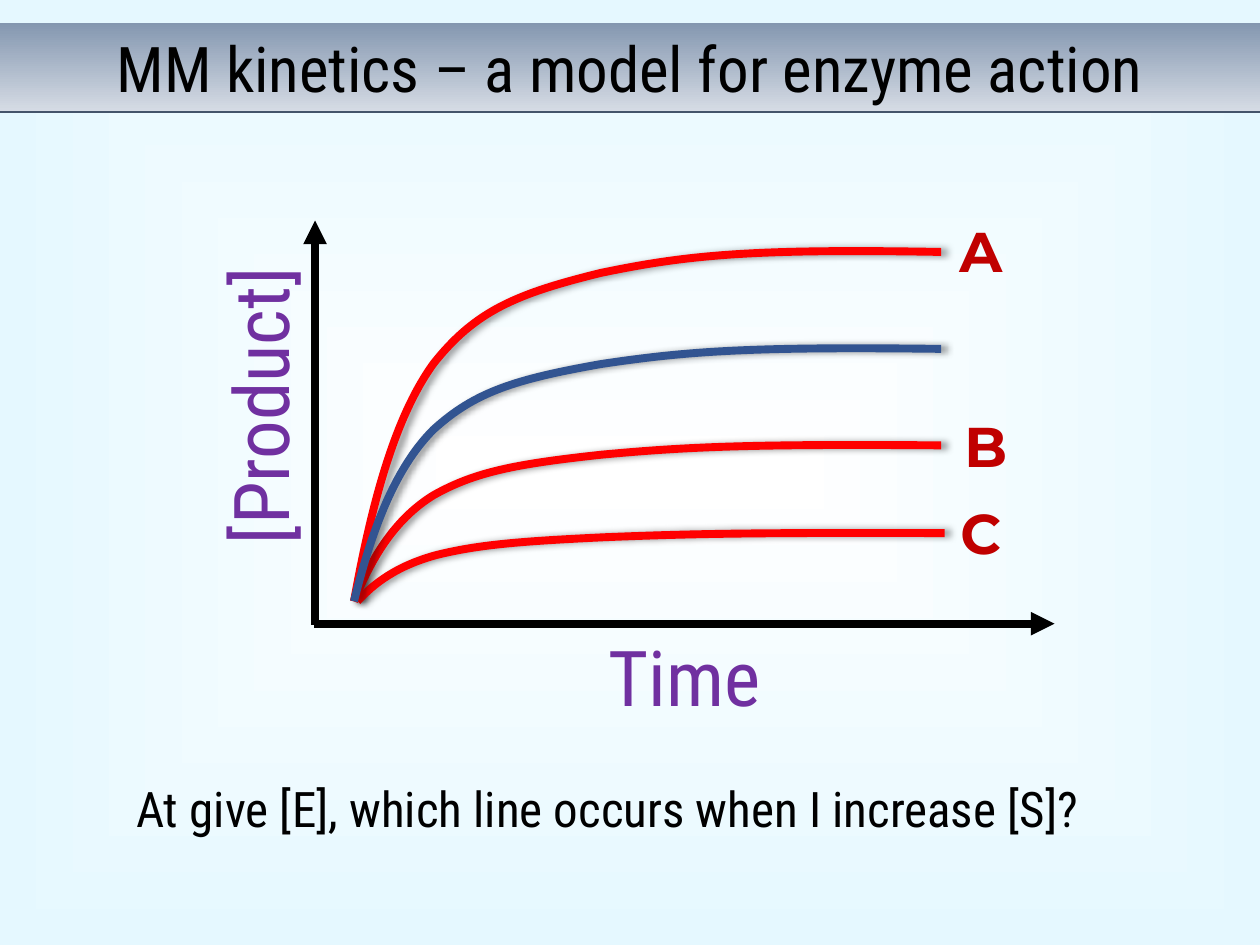
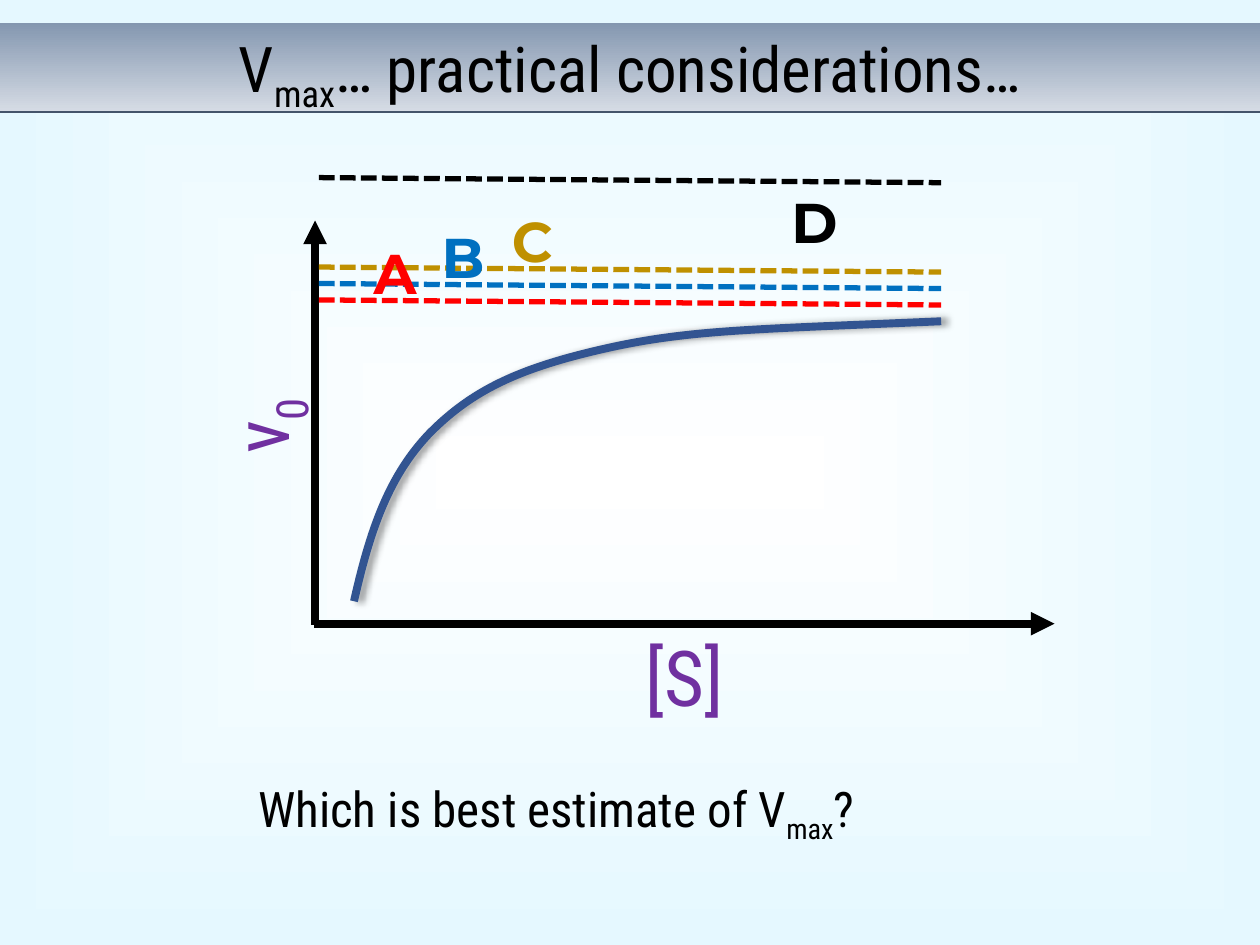
"""Build two slides on enzyme kinetics with curve diagrams."""
import typing

import lxml.etree
import pptx
import pptx.dml.color
import pptx.enum.dml
import pptx.enum.shapes
import pptx.enum.text
import pptx.oxml.ns
import pptx.presentation
import pptx.shapes.autoshape
import pptx.slide
import pptx.text.text
import pptx.util

Pt = pptx.util.Pt
qn = pptx.oxml.ns.qn
ALIGN = pptx.enum.text.PP_ALIGN

BODY_FONT, LABEL_FONT = "Roboto Condensed", "Montserrat"
BLACK, PURPLE, RED, DARK_RED = "000000", "7030A0", "FF0000", "C00000"
CURVE_BLUE, GUIDE_BLUE, GOLD, RULE = "325491", "0070C0", "BF9000", "44546A"
BAR_GRADIENT = ("D6DCE5", "8497B0")
PAGE_GRADIENT = ("FFFFFF", "E5F8FF")
PAGE_WIDTH, PAGE_HEIGHT = 720, 540
BAR_TOP, BAR_HEIGHT = 13, 51
CURVE_LEFT, CURVE_BOTTOM = 202.3, 343.6


class Span(typing.NamedTuple):
    """A piece of text that may be a subscript."""
    text: str
    subscript: bool = False


class Style(typing.NamedTuple):
    """The look of one paragraph."""
    size: float
    color: str
    font: str = BODY_FONT
    bold: bool = False
    align: ALIGN = ALIGN.CENTER


class Label(typing.NamedTuple):
    """A box of text on the page."""
    spans: tuple[Span, ...]
    left: float
    top: float
    width: float
    height: float
    style: Style
    rotation: float = 0


class Stroke(typing.NamedTuple):
    """A straight line."""
    start: tuple[float, float]
    end: tuple[float, float]
    color: str
    width: float
    dashed: bool = False
    arrow: bool = False


class Profile(typing.NamedTuple):
    """Bezier points: offsets from the left and fractions of the height."""
    offsets: tuple[float, ...]
    rises: tuple[float, ...]


class Curve(typing.NamedTuple):
    """A saturation curve rising from the common start."""
    profile: Profile
    height: float
    color: str
    left: float = CURVE_LEFT


TITLE = Style(36, BLACK)
AXIS_NAME = Style(44, PURPLE)
QUESTION = Style(28, BLACK, align=ALIGN.LEFT)
PROGRESS = Profile((0, 9.4, 22.3, 45.4, 69.1, 92.2, 141.1, 189.4, 225.4, 335.5),
                   (0, 0.26, 0.52, 0.68, 0.83, 0.88, 0.94, 0.99, 1.01, 1))
VELOCITY = Profile((0, 9.4, 20.2, 43.2, 67, 92.9, 141.8, 190.8, 225.4, 335.5),
                   (0, 0.26, 0.45, 0.6, 0.75, 0.83, 0.9, 0.97, 0.97, 1))
AXES = (Stroke((180, 357), (180, 126), BLACK, 4.5, arrow=True),
        Stroke((179.3, 356.4), (602.6, 356.4), BLACK, 4.5, arrow=True))


def rgb(color: str) -> pptx.dml.color.RGBColor:
    """Turn a hex string into a colour."""
    return pptx.dml.color.RGBColor.from_string(color)


def set_gradient(fill: pptx.dml.fill.FillFormat, colors: tuple[str, str]) -> None:
    """Give a fill a gradient of two colours."""
    fill.gradient()
    for stop, color in zip(fill.gradient_stops, colors):
        stop.color.rgb = rgb(color)


def set_background(master: pptx.slide.SlideMaster) -> None:
    """Spread the page gradient from the centre on the master."""
    set_gradient(master.background.fill, PAGE_GRADIENT)
    linear = master._element.find(".//" + qn("a:lin"))
    gradient = linear.getparent()
    gradient.remove(linear)
    spread = lxml.etree.SubElement(gradient, qn("a:path"))
    spread.set("path", "shape")
    center = lxml.etree.SubElement(spread, qn("a:fillToRect"))
    for side in "ltrb":
        center.set(side, "50000")


def write(frame: pptx.text.text.TextFrame, spans: tuple[Span, ...], style: Style) -> None:
    """Write one styled paragraph into a frame."""
    frame.word_wrap = True
    frame.auto_size = pptx.enum.text.MSO_AUTO_SIZE.NONE
    frame.vertical_anchor = pptx.enum.text.MSO_ANCHOR.TOP
    frame.margin_left = frame.margin_right = 0
    frame.margin_top = frame.margin_bottom = Pt(3.6)
    para = frame.paragraphs[0]
    para.alignment = style.align
    para.font.name = style.font
    para.font.size = Pt(style.size)
    para.font.bold = style.bold
    para.font.color.rgb = rgb(style.color)
    for span in spans:
        run = para.add_run()
        run.text = span.text
        if span.subscript:
            run._r.get_or_add_rPr().set("baseline", "-25000")


def add_label(page: pptx.slide.Slide, label: Label) -> None:
    """Add a text box."""
    box = page.shapes.add_textbox(Pt(label.left), Pt(label.top), Pt(label.width), Pt(label.height))
    box.rotation = label.rotation
    write(box.text_frame, label.spans, label.style)


def add_stroke(page: pptx.slide.Slide, stroke: Stroke) -> None:
    """Add a straight line, with dashes or an arrowhead if asked."""
    line = page.shapes.add_connector(
        pptx.enum.shapes.MSO_CONNECTOR.STRAIGHT, *map(Pt, stroke.start + stroke.end))
    line.line.color.rgb = rgb(stroke.color)
    line.line.width = Pt(stroke.width)
    if stroke.dashed:
        line.line.dash_style = pptx.enum.dml.MSO_LINE.SQUARE_DOT
    properties = line._element.spPr
    if stroke.arrow:
        head = lxml.etree.SubElement(properties.find(qn("a:ln")), qn("a:tailEnd"))
        head.set("type", "triangle")
    lxml.etree.SubElement(properties, qn("a:effectLst"))


def bend(shape: pptx.shapes.autoshape.Shape) -> None:
    """Merge each three straight segments into one Bezier segment."""
    segments = list(shape._element.iter(qn("a:lnTo")))
    outline = segments[0].getparent()
    for first in range(0, len(segments), 3):
        bezier = lxml.etree.SubElement(outline, qn("a:cubicBezTo"))
        for segment in segments[first:first + 3]:
            bezier.append(segment[0])
            outline.remove(segment)


def add_shadow(shape: pptx.shapes.autoshape.Shape) -> None:
    """Cast a soft shadow to the right."""
    shape.shadow.inherit = False
    effects = shape._element.spPr.find(qn("a:effectLst"))
    shadow = lxml.etree.SubElement(effects, qn("a:outerShdw"))
    for name, value in (("blurRad", Pt(4)), ("dist", Pt(3)), ("dir", 0)):
        shadow.set(name, str(int(value)))
    color = lxml.etree.SubElement(shadow, qn("a:srgbClr"))
    color.set("val", BLACK)
    lxml.etree.SubElement(color, qn("a:alpha")).set("val", "40000")


def add_curve(page: pptx.slide.Slide, curve: Curve) -> None:
    """Add a saturation curve."""
    points = [(Pt(curve.left + offset), Pt(CURVE_BOTTOM - rise * curve.height))
              for offset, rise in zip(*curve.profile)]
    builder = page.shapes.build_freeform(*points[0])
    builder.add_line_segments(points[1:], close=False)
    shape = builder.convert_to_shape()
    bend(shape)
    shape.fill.background()
    shape.line.color.rgb = rgb(curve.color)
    shape.line.width = Pt(4.5)
    add_shadow(shape)


def letter(text: str, left: float, top: float, color: str) -> Label:
    """Describe a bold answer letter."""
    return Label((Span(text),), left, top, 46.8, 46.1, Style(32, color, LABEL_FONT, True))


def guide(top: float, color: str) -> Stroke:
    """Describe a dashed, slightly falling guide."""
    return Stroke((182.2, top), (537.8, top + 2.9), color, 3, dashed=True)


def horizontal_name(text: str) -> Label:
    """Describe the name under the horizontal axis."""
    return Label((Span(text),), 340.6, 356.4, 101.5, 60.5, AXIS_NAME)


def add_page(deck: pptx.presentation.Presentation, title: tuple[Span, ...],
             strokes: tuple[Stroke, ...], curves: tuple[Curve, ...],
             labels: tuple[Label, ...]) -> None:
    """Add a page with its title bar, axes, curves and labels."""
    page = deck.slides.add_slide(deck.slide_layouts[5])
    bar = page.shapes.title
    bar.left, bar.top, bar.width, bar.height = map(Pt, (0, BAR_TOP, PAGE_WIDTH, BAR_HEIGHT))
    set_gradient(bar.fill, BAR_GRADIENT)
    bar.fill.gradient_angle = 90
    write(bar.text_frame, title, TITLE)
    bottom = BAR_TOP + BAR_HEIGHT
    rule = Stroke((0, bottom), (PAGE_WIDTH, bottom), RULE, 1)
    for stroke in (rule, *AXES, *strokes):
        add_stroke(page, stroke)
    for curve in curves:
        add_curve(page, curve)
    for label in labels:
        add_label(page, label)


def main() -> None:
    """Build and save the deck."""
    deck = pptx.Presentation()
    deck.slide_width, deck.slide_height = Pt(PAGE_WIDTH), Pt(PAGE_HEIGHT)
    set_background(deck.slide_master)
    add_page(
        deck,
        (Span("MM kinetics – a model for enzyme action"),),
        (),
        (Curve(PROGRESS, 199.6, RED),
         Curve(PROGRESS, 89.1, RED),
         Curve(PROGRESS, 38.9, RED, CURVE_LEFT + 2),
         Curve(PROGRESS, 144.2, CURVE_BLUE)),
        (Label((Span("[Product]"),), 68.4, 201.6, 159.1, 60.5, AXIS_NAME, 270),
         horizontal_name("Time"),
         letter("A", 537.1, 120.2, DARK_RED),
         letter("B", 540, 231.8, DARK_RED),
         letter("C", 537.1, 281.5, DARK_RED),
         Label((Span("At give [E], which line occurs when I increase [S]?"),),
               77.8, 441.4, 539, 41, QUESTION)))
    add_page(
        deck,
        (Span("V"), Span("max", True), Span("… practical considerations…")),
        (guide(152.6, GOLD), guide(162, GUIDE_BLUE), guide(101.5, BLACK), guide(171.4, RED)),
        (Curve(VELOCITY, 160, CURVE_BLUE),),
        (Label((Span("v"), Span("0", True)), 72, 213.1, 151.9, 60.5, AXIS_NAME, 270),
         horizontal_name("[S]"),
         letter("A", 202.3, 132.5, RED),
         letter("B", 241.2, 123.8, GUIDE_BLUE),
         letter("C", 280.8, 114.5, GOLD),
         letter("D", 442.1, 103.7, BLACK),
         Label((Span("Which is best estimate of V"), Span("max", True), Span("?")),
               147.6, 441.4, 373.7, 41, QUESTION)))
    deck.save("out.pptx")


if __name__ == "__main__":
    main()
